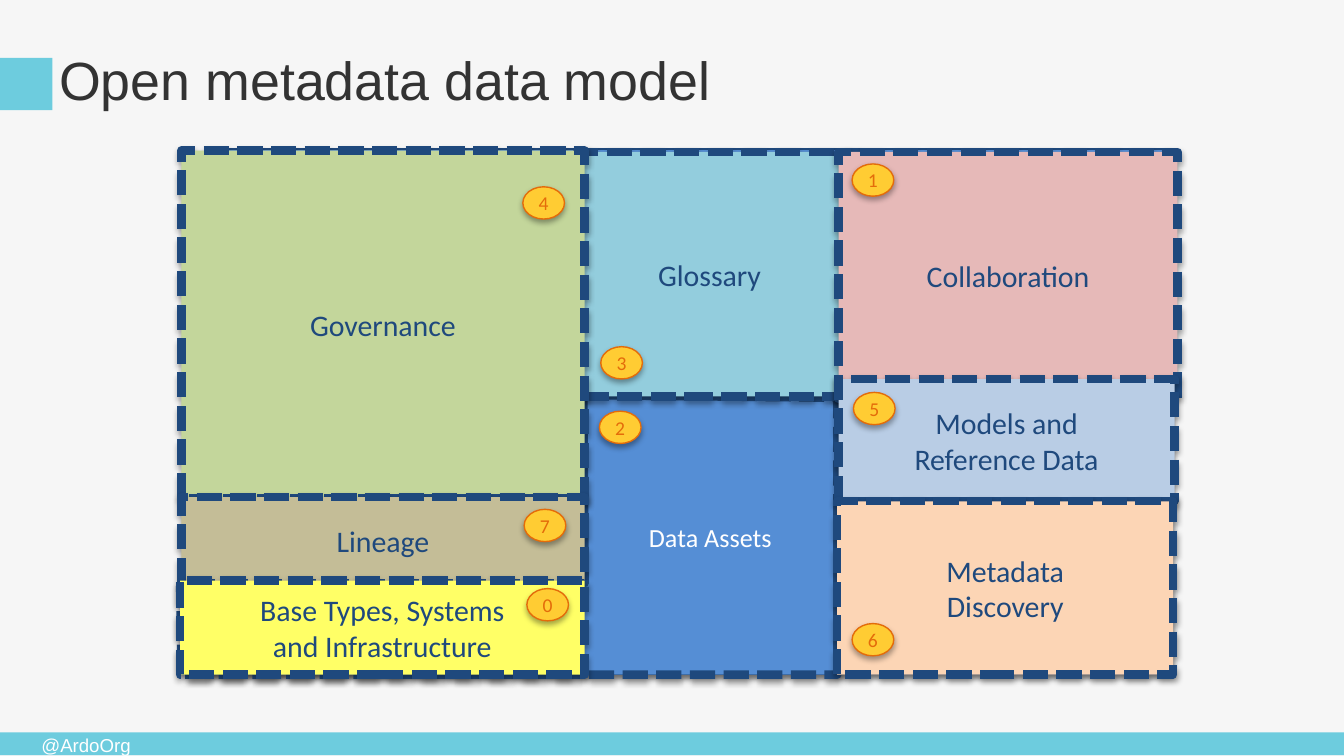
from pptx import Presentation
from pptx.dml.color import RGBColor
from pptx.enum.dml import MSO_LINE
from pptx.enum.shapes import MSO_SHAPE
from pptx.enum.text import MSO_ANCHOR, PP_ALIGN
from pptx.oxml import parse_xml
from pptx.oxml.ns import nsdecls, qn
from pptx.util import Inches, Pt

BACKGROUND = RGBColor(0xF6, 0xF6, 0xF6)
TEAL = RGBColor(0x6D, 0xCC, 0xDE)
CHARCOAL = RGBColor(0x33, 0x33, 0x33)
WHITE = RGBColor(0xFF, 0xFF, 0xFF)
NAVY = RGBColor(0x1F, 0x49, 0x7D)
BLUE = RGBColor(0x55, 0x8E, 0xD5)
AQUA = RGBColor(0x93, 0xCD, 0xDD)
PINK = RGBColor(0xE6, 0xB9, 0xB8)
GREEN = RGBColor(0xC3, 0xD6, 0x9B)
PALE_BLUE = RGBColor(0xB9, 0xCD, 0xE5)
PEACH = RGBColor(0xFC, 0xD5, 0xB5)
TAN = RGBColor(0xC4, 0xBD, 0x97)
YELLOW = RGBColor(0xFF, 0xFF, 0x66)
GOLD = RGBColor(0xFF, 0xCC, 0x33)
ORANGE = RGBColor(0xE4, 0x6C, 0x0A)

CELL = 0.1  # grid cell of the model map, in inches
BADGE_SIZE = (3.1, 2.4)

# Label, fill, box in cells (column, row, columns, rows), badge, badge place
AREAS = [
    ("Glossary", AQUA, (28.3, 0.1, 22, 18.2), "3", (31.2, 14.6)),
    ("Collaboration", PINK, (48.9, 0.1, 25.2, 18.4), "1", (49.9, 1)),
    ("Governance", GREEN, (0, 0, 30, 25.9), "4", (25.4, 2.7)),
    ("Models and\nReference Data", PALE_BLUE, (48.9, 17, 25, 9.1), "5", (50, 18)),
    ("Metadata\nDiscovery", PEACH, (48.8, 26.1, 25, 12.9), "6", (49.9, 35.2)),
    ("Lineage", TAN, (0, 25.8, 30, 6.4), "7", (25.5, 26.7)),
    ("Base Types, Systems\nand Infrastructure", YELLOW, (-0.1, 32, 30.1, 7),
     "0", (25.7, 32.6)),
]
DATA_ASSETS_OUTLINE = [(30, 32.2), (29.9, 18.2), (48.8, 18.4),
                       (48.8, 39), (0, 39), (-0.1, 32.4)]


def write(shape, text, size, color, font="Calibri", align=PP_ALIGN.LEFT, wrap=True):
    frame = shape.text_frame
    frame.text = text
    frame.word_wrap = wrap
    for paragraph in frame.paragraphs:
        paragraph.alignment = align
        for run in paragraph.runs:
            run.font.size = Pt(size)
            run.font.name = font
            run.font.color.rgb = color


def add_box(slide, kind, box, fill):
    shape = slide.shapes.add_shape(kind, *[Inches(value) for value in box])
    shape.shadow.inherit = False
    shape.fill.solid()
    shape.fill.fore_color.rgb = fill
    shape.line.fill.background()
    return shape


def outline(shape, color, width, dashed=False):
    """Give a shape its border and the soft shadow below it."""
    shape.line.color.rgb = color
    shape.line.width = Pt(width)
    if dashed:
        shape.line.dash_style = MSO_LINE.SQUARE_DOT
        dash = shape.line._get_or_add_ln().find(qn("a:prstDash"))
        dash.set("val", "sysDash")
    shape.shadow.inherit = False
    effects = shape._element.spPr.find(qn("a:effectLst"))
    effects.append(parse_xml(
        f'<a:outerShdw {nsdecls("a")} blurRad="{Pt(3.1)}" dist="{Pt(1.8)}" '
        'dir="5400000" rotWithShape="0"><a:srgbClr val="000000">'
        '<a:alpha val="35000"/></a:srgbClr></a:outerShdw>'))


def add_header(slide, left, top, width, height):
    """Title with the square accent at the slide's edge."""
    add_box(slide, MSO_SHAPE.RECTANGLE, (0, top + 0.18, 0.39, 0.39), TEAL)
    title = slide.shapes.title
    title.left, title.top = Inches(left), Inches(top)
    title.width, title.height = Inches(width), Inches(height)
    write(title, "Open metadata data model", 28.8, CHARCOAL, "Arial")
    frame = title.text_frame
    frame.vertical_anchor = MSO_ANCHOR.TOP
    frame.margin_left = frame.margin_right = Inches(0.1)
    frame.margin_top = frame.margin_bottom = Inches(0.1)


def add_footer(slide, left, top, width, height):
    """Bottom band with the account name."""
    add_box(slide, MSO_SHAPE.RECTANGLE, (left, top, width, height), TEAL)
    handle = slide.shapes.add_textbox(
        Inches(left + 0.21), Inches(top - 0.04), Inches(0.91), Inches(0.27))
    write(handle, "@ArdoOrg", 10, WHITE, "Arial", wrap=False)


def add_model_map(slide, left, top):
    """Map of metadata areas, laid on a grid that starts at left, top."""
    def place(column, row, columns, rows):
        return (left + column * CELL, top + row * CELL, columns * CELL, rows * CELL)

    def add_badge(number, column, row):
        badge = add_box(slide, MSO_SHAPE.OVAL, place(column, row, *BADGE_SIZE), GOLD)
        outline(badge, ORANGE, 0.75)
        write(badge, number, 10.5, ORANGE, align=PP_ALIGN.CENTER, wrap=False)
        badge.text_frame.vertical_anchor = MSO_ANCHOR.MIDDLE

    # Backdrop
    backdrop = add_box(slide, MSO_SHAPE.RECTANGLE, place(2.1, -0.1, 71.5, 39.1), BLUE)
    outline(backdrop, NAVY, 0.75)

    # Data assets reach under the left-hand areas
    points = [(Inches(left + column * CELL), Inches(top + row * CELL))
              for column, row in DATA_ASSETS_OUTLINE]
    builder = slide.shapes.build_freeform(*points[0])
    builder.add_line_segments(points[1:], close=True)
    assets = builder.convert_to_shape()
    assets.fill.solid()
    assets.fill.fore_color.rgb = BLUE
    outline(assets, NAVY, 4.5, dashed=True)
    label = slide.shapes.add_textbox(
        *[Inches(value) for value in place(33.8, 27.1, 11.3, 3.4)])
    write(label, "Data Assets", 14, WHITE, wrap=False)
    add_badge("2", 31.1, 19.4)

    # Numbered areas
    for text, fill, cells, number, badge_place in AREAS:
        area = add_box(slide, MSO_SHAPE.RECTANGLE, place(*cells), fill)
        outline(area, NAVY, 4.5, dashed=True)
        write(area, text, 16, NAVY, align=PP_ALIGN.CENTER)
        area.text_frame.vertical_anchor = MSO_ANCHOR.MIDDLE
        add_badge(number, *badge_place)


def main():
    presentation = Presentation()
    presentation.slide_width = Inches(10)
    presentation.slide_height = presentation.slide_width * 9 // 16
    slide = presentation.slides.add_slide(presentation.slide_layouts[5])
    slide.background.fill.solid()
    slide.background.fill.fore_color.rgb = BACKGROUND
    add_footer(slide, 0, 5.45, 10, 0.17)
    add_header(slide, 0.34, 0.25, 9.32, 0.62)
    add_model_map(slide, 1.35, 1.12)
    presentation.save("out.pptx")


if __name__ == "__main__":
    main()
